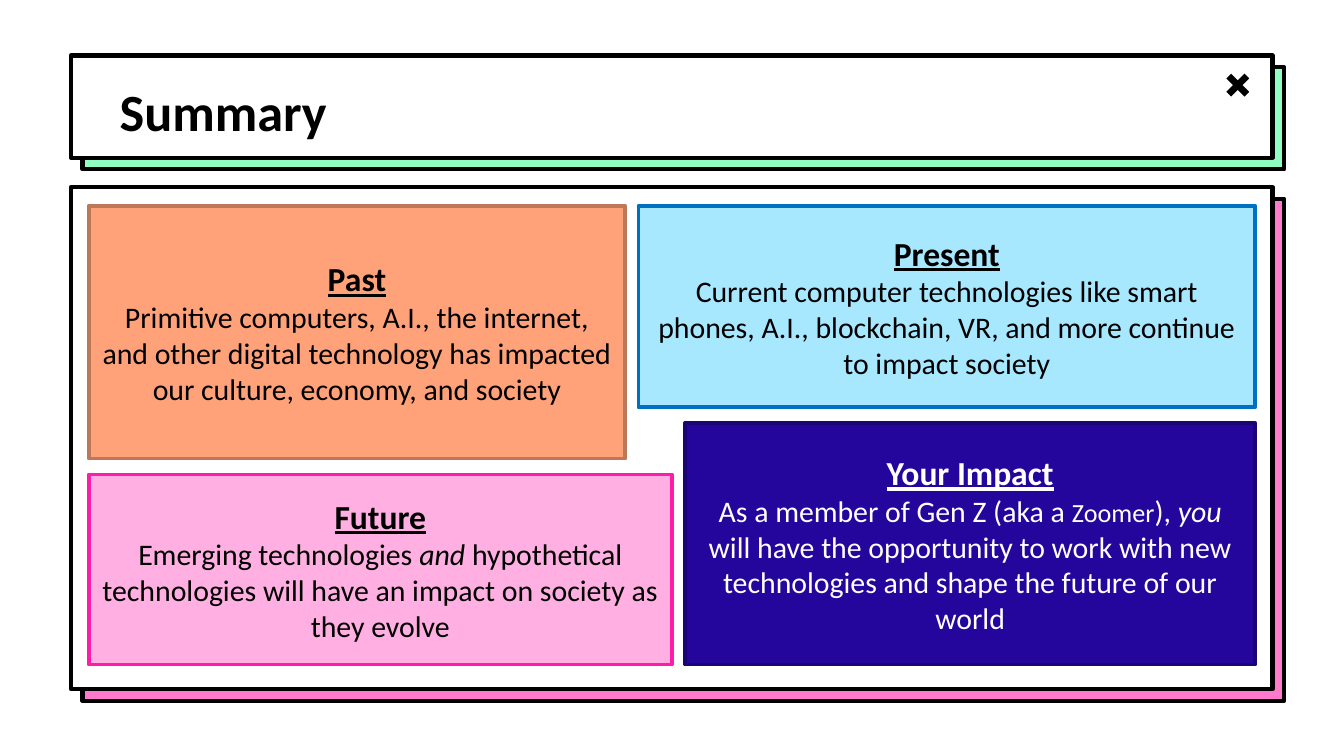
from dataclasses import dataclass

from pptx import Presentation
from pptx.dml.color import RGBColor
from pptx.enum.shapes import MSO_SHAPE
from pptx.enum.text import MSO_ANCHOR, MSO_AUTO_SIZE, PP_ALIGN
from pptx.util import Pt

RECT, CROSS = MSO_SHAPE.RECTANGLE, MSO_SHAPE.MATH_MULTIPLY
TOP, MIDDLE = MSO_ANCHOR.TOP, MSO_ANCHOR.MIDDLE
LEFT, CENTER = PP_ALIGN.LEFT, PP_ALIGN.CENTER
NO_FIT = MSO_AUTO_SIZE.NONE


@dataclass(frozen=True)
class Theme:
    font: str = "Calibri"
    title_size: int = 28
    head_size: int = 18
    body_size: int = 16
    small_size: int = 14
    black: str = "000000"
    white: str = "FFFFFF"
    mint: str = "8FFFC1"
    pink: str = "FF7ACD"
    past: tuple = ("FFA27A", "BD785A")
    present: tuple = ("A7E8FF", "0070C0")
    future: tuple = ("FFAFE1", "FF1CAA")
    impact: tuple = ("24069D", "1B0474")
    panel_line: float = 2.25
    card_line: float = 2


def add_text(p, text, font, size, color, bold=False, italic=False, underline=False):
    """Add one formatted run to a paragraph."""
    r = p.add_run()
    r.text = text
    f = r.font
    f.name, f.size = font, Pt(size)
    f.bold, f.italic, f.underline = bold, italic, underline
    f.color.rgb = RGBColor.from_string(color)


class SlideBuilder:
    """Draw themed elements on one slide, with lengths in points."""

    def __init__(self, slide, theme):
        self.s = slide
        self.theme = theme

    def shape(self, kind, box, fill, line=None, width=0):
        """Add a filled preset shape with an optional outline."""
        sp = self.s.shapes.add_shape(kind, *map(Pt, box))
        sp.shadow.inherit = False
        sp.fill.solid()
        sp.fill.fore_color.rgb = RGBColor.from_string(fill)
        if line:
            sp.line.color.rgb = RGBColor.from_string(line)
            sp.line.width = Pt(width)
        else:
            sp.line.fill.background()
        return sp

    def panel(self, x, y, w, h, back, offset=6.25):
        """Add a white window with a coloured offset block behind it."""
        t = self.theme
        for shift, fill in ((offset, back), (0, t.white)):
            self.shape(RECT, (x + shift, y + shift, w, h), fill, t.black, t.panel_line)

    def close_mark(self, x, y, size):
        """Add the cross of the title window."""
        sp = self.shape(CROSS, (x, y, size, size), self.theme.black)
        sp.adjustments[0] = 0.19

    def title(self, text, x, y, w, h):
        """Fill the title placeholder and bring it in front of the panels."""
        t = self.theme
        sp = self.s.shapes.title
        sp.left, sp.top, sp.width, sp.height = map(Pt, (x, y, w, h))
        self.s.shapes.element.append(sp.element)
        tf = sp.text_frame
        tf.auto_size, tf.vertical_anchor, tf.word_wrap = NO_FIT, TOP, True
        tf.margin_left = tf.margin_right = tf.margin_top = tf.margin_bottom = Pt(7.2)
        p = tf.paragraphs[0]
        p.alignment = LEFT
        add_text(p, text, t.font, t.title_size, t.black, bold=True)

    def card(self, box, colors, color, heading, runs):
        """Add a card with an underlined heading and body runs."""
        t = self.theme
        sp = self.shape(RECT, box, *colors, t.card_line)
        tf = sp.text_frame
        tf.word_wrap, tf.vertical_anchor = True, MIDDLE
        p = tf.paragraphs[0]
        p.alignment = CENTER
        add_text(p, heading, t.font, t.head_size, color, bold=True, underline=True)
        p = tf.add_paragraph()
        p.alignment = CENTER
        for text, style in runs:
            add_text(p, text, t.font, color=color, **{"size": t.body_size, **style})


def main():
    """Build the summary slide."""
    prs = Presentation()
    prs.slide_width, prs.slide_height = Pt(720), Pt(405)
    t = Theme()
    b = SlideBuilder(prs.slides.add_slide(prs.slide_layouts[5]), t)

    b.panel(38, 29.75, 643.75, 54.75, t.mint)
    b.close_mark(653.75, 36.25, 18.75)
    b.panel(38, 100.25, 643.75, 269, t.pink)
    b.title("Summary", 56.9, 35.25, 607, 45.5)

    left, top, right, bottom = 47.5, 110.25, 672.5, 356
    gap_x, gap_y = 7, 8.5
    past_w, past_h, future_w, present_h = 287.5, 135.5, 312.5, 108
    present_x = left + past_w + gap_x
    impact_x = left + future_w + gap_x
    future_y = top + past_h + gap_y
    impact_y = top + present_h + gap_y
    italic = {"italic": True}

    cards = (
        ((left, top, past_w, past_h), t.past, t.black, "Past", [
            ("Primitive computers, A.I., the internet, and other digital technology "
             "has impacted our culture, economy, and society", {})]),
        ((present_x, top, right - present_x, present_h), t.present, t.black, "Present", [
            ("Current computer technologies like smart phones, A.I., blockchain, VR, "
             "and more continue to impact society", {})]),
        ((left, future_y, future_w, bottom - future_y), t.future, t.black, "Future", [
            ("Emerging technologies ", {}),
            ("and", italic),
            (" hypothetical technologies will have an impact on society as they evolve", {})]),
        ((impact_x, impact_y, right - impact_x, bottom - impact_y), t.impact, t.white,
         "Your Impact", [
            ("As a member of Gen Z (aka a ", {}),
            ("Zoomer", {"size": t.small_size}),
            ("), ", {}),
            ("you", italic),
            (" will have the opportunity to work with new technologies and shape "
             "the future of our world", {})]),
    )
    for card in cards:
        b.card(*card)

    prs.save("out.pptx")


if __name__ == "__main__":
    main()
